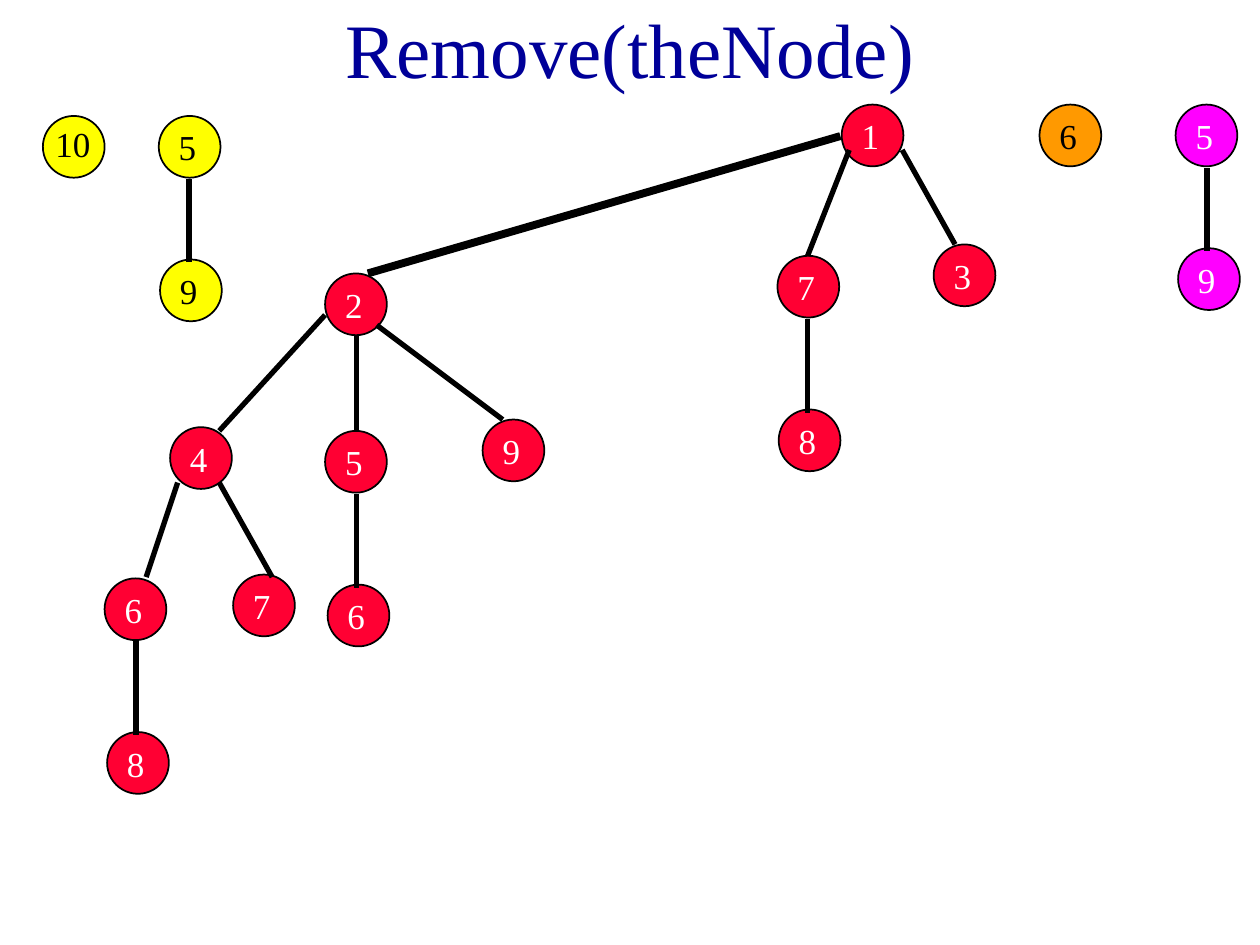
from dataclasses import dataclass

from pptx import Presentation
from pptx import util as u
from pptx.dml.color import RGBColor
from pptx.enum import shapes, text
from pptx.oxml.ns import qn
from pptx.slide import Slide
from pptx.text.text import TextFrame

HUES = {
    "navy": "000099", "red": "FF0033", "yellow": "FFFF00", "orange": "FF9900",
    "pink": "FF00FF", "black": "000000", "white": "FFFFFF",
}
FACE = "Times New Roman"
SIZE = 0.49


@dataclass
class Node:
    label: str
    left: float
    top: float
    fill: str = "red"
    ink: str = "white"


@dataclass
class Edge:
    x1: float
    y1: float
    x2: float
    y2: float
    width: float = 3


NODES = [
    Node("1", 6.68, 0.83), Node("7", 6.17, 2.03), Node("3", 7.41, 1.94),
    Node("8", 6.18, 3.25),
    Node("2", 2.58, 2.17), Node("5", 2.58, 3.42), Node("9", 3.83, 3.33),
    Node("6", 2.6, 4.64),
    Node("4", 1.35, 3.39), Node("6", 0.83, 4.59), Node("7", 1.85, 4.56),
    Node("8", 0.85, 5.81),
    Node("10", 0.34, 0.92, "yellow", "black"),
    Node("5", 1.26, 0.92, "yellow", "black"),
    Node("9", 1.27, 2.06, "yellow", "black"),
    Node("6", 8.25, 0.83, "orange", "black"),
    Node("5", 9.33, 0.83, "pink"), Node("9", 9.35, 1.97, "pink"),
]

EDGES = [
    Edge(6.41, 2.53, 6.41, 3.28), Edge(6.74, 1.19, 6.41, 2.03),
    Edge(7.16, 1.19, 7.58, 1.94),
    Edge(2.83, 3.92, 2.83, 4.67), Edge(2.83, 2.67, 2.83, 3.42),
    Edge(2.99, 2.58, 3.99, 3.33),
    Edge(1.08, 5.08, 1.08, 5.83), Edge(1.41, 3.83, 1.16, 4.58),
    Edge(1.74, 3.83, 2.16, 4.58), Edge(2.58, 2.5, 1.74, 3.42),
    Edge(1.5, 1.42, 1.5, 2.08), Edge(6.67, 1.08, 2.92, 2.17, 4.5),
    Edge(9.58, 1.33, 9.58, 1.99),
]


def paint(name: str) -> RGBColor:
    return RGBColor.from_string(HUES[name])


def write(frame: TextFrame, words: str, size: float, ink: str) -> None:
    frame.text = words
    font = frame.paragraphs[0].runs[0].font
    font.name, font.size = FACE, u.Pt(size)
    font.color.rgb = paint(ink)


def add_title(slide: Slide, words: str) -> None:
    title = slide.shapes.title
    title.left, title.top = u.Inches(0.75), u.Inches(0)
    title.width, title.height = u.Inches(8.5), u.Inches(0.75)
    frame = title.text_frame
    frame.auto_size = text.MSO_AUTO_SIZE.NONE
    frame.vertical_anchor = text.MSO_ANCHOR.MIDDLE
    write(frame, words, 44, "navy")
    frame.paragraphs[0].alignment = text.PP_ALIGN.CENTER


def add_node(slide: Slide, node: Node) -> None:
    disc = slide.shapes.add_shape(
        shapes.MSO_SHAPE.OVAL, u.Inches(node.left), u.Inches(node.top),
        u.Inches(SIZE), u.Inches(SIZE))
    disc.shadow.inherit = False
    disc.fill.solid()
    disc.fill.fore_color.rgb = paint(node.fill)
    disc.line.color.rgb = paint("black")
    disc.line.width = u.Pt(1)
    wide = len(node.label) > 1
    inset, drop, width = (0, 0, 0.48) if wide else (0.06, 0.03, 0.34)
    box = slide.shapes.add_textbox(
        u.Inches(node.left + inset), u.Inches(node.top + drop),
        u.Inches(width), u.Inches(0.43))
    box.text_frame.word_wrap = False
    box.text_frame.auto_size = text.MSO_AUTO_SIZE.SHAPE_TO_FIT_TEXT
    write(box.text_frame, node.label, 20, node.ink)


def add_edge(slide: Slide, edge: Edge) -> None:
    line = slide.shapes.add_connector(
        shapes.MSO_CONNECTOR.STRAIGHT, u.Inches(edge.x1), u.Inches(edge.y1),
        u.Inches(edge.x2), u.Inches(edge.y2))
    line.line.color.rgb = paint("black")
    line.line.width = u.Pt(edge.width)
    props = line._element.spPr
    props.append(props.makeelement(qn("a:effectLst"), {}))


def main() -> None:
    deck = Presentation()
    deck.slide_width, deck.slide_height = u.Inches(10), u.Inches(7.5)
    slide = deck.slides.add_slide(deck.slide_layouts[5])
    add_title(slide, "Remove(theNode)")
    for node in NODES:
        add_node(slide, node)
    for edge in EDGES:
        add_edge(slide, edge)
    deck.save("out.pptx")


if __name__ == "__main__":
    main()
